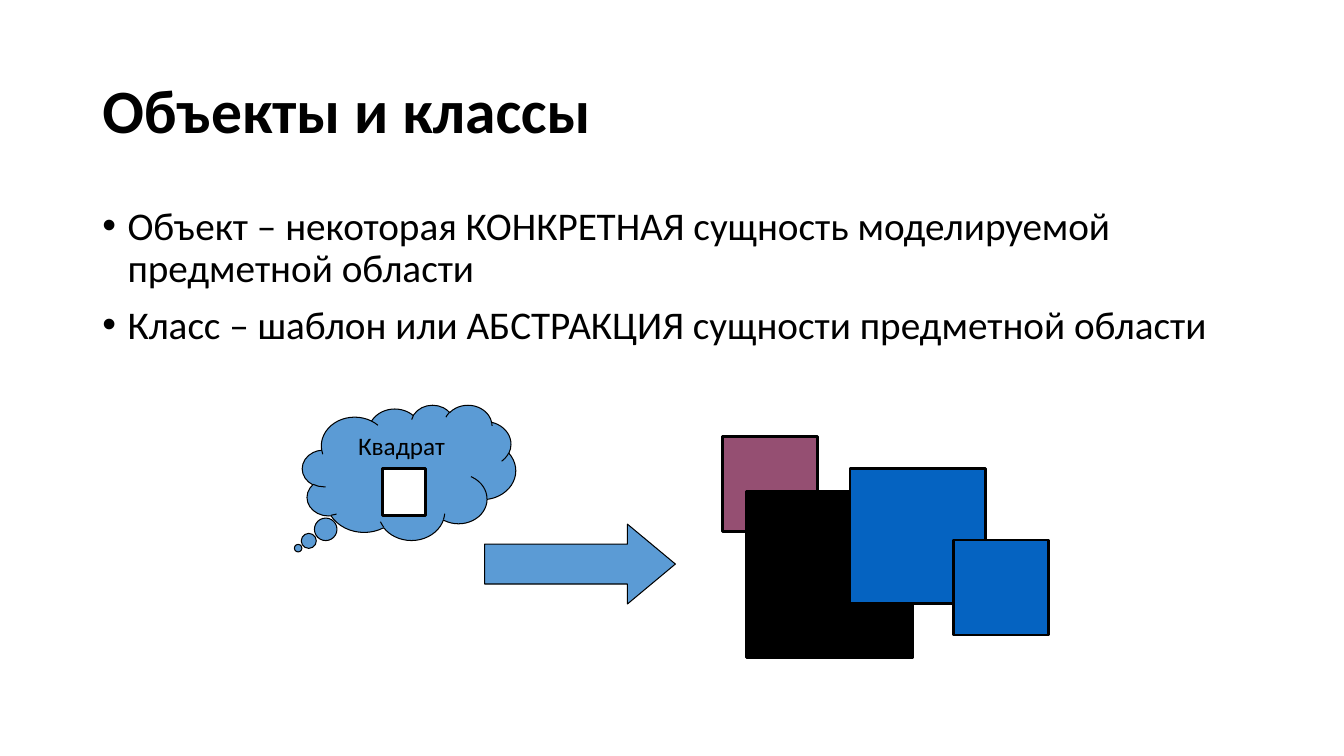
"""Build a slide on objects and classes: an abstract square and its concrete instances."""
import pptx
import pptx.dml.color
import pptx.enum.shapes
import pptx.enum.text
import pptx.util
import lxml.etree

COLORS = {"ink": "000000", "paper": "FFFFFF", "idea": "5B9BD5",
          "plum": "954F72", "blue": "0563C1"}
COLUMNS, ROWS = 160, 90
FONT = "Calibri"
PRESET = pptx.enum.shapes.MSO_SHAPE
ANCHOR = pptx.enum.text.MSO_ANCHOR

deck = pptx.Presentation()
deck.slide_width = pptx.util.Inches(13.333)
deck.slide_height = pptx.util.Inches(7.5)
column = deck.slide_width / COLUMNS
row = deck.slide_height / ROWS
slide = deck.slides.add_slide(deck.slide_layouts[6])


def place(left, top, width, height):
    return (round(left * column), round(top * row),
            round(width * column), round(height * row))


def set_font(paragraph, size, bold=False):
    for run in paragraph.runs:
        run.font.name = FONT
        run.font.size = pptx.util.Pt(size)
        run.font.bold = bold
        run.font.color.rgb = pptx.dml.color.RGBColor.from_string(COLORS["ink"])


heading = slide.shapes.add_textbox(*place(11, 4.8, 138, 17.4)).text_frame
heading.word_wrap = True
heading.vertical_anchor = ANCHOR.MIDDLE
heading.text = "Объекты и классы"
heading.paragraphs[0].line_spacing = 0.9
set_font(heading.paragraphs[0], 44, bold=True)

definitions = slide.shapes.add_textbox(*place(11, 24, 138, 57.1)).text_frame
definitions.word_wrap = True
definitions.text = (
    "Объект – некоторая КОНКРЕТНАЯ сущность моделируемой предметной области\n"
    "Класс – шаблон или АБСТРАКЦИЯ сущности предметной области")
indent = pptx.util.Inches(0.25)
for number, definition in enumerate(definitions.paragraphs):
    properties = definition._p.get_or_add_pPr()
    properties.set("marL", str(indent))
    properties.set("indent", str(-indent))
    bullet_font = lxml.etree.SubElement(properties, pptx.oxml.ns.qn("a:buFont"))
    bullet_font.set("typeface", "Arial")
    bullet = lxml.etree.SubElement(properties, pptx.oxml.ns.qn("a:buChar"))
    bullet.set("char", "•")
    definition.line_spacing = 0.9
    if number:
        definition.space_before = pptx.util.Pt(10)
    set_font(definition, 28)

figures = [
    (PRESET.RIGHT_ARROW, (57.7, 62.4, 22.7, 9.5), "idea", 0.75, (0.5, 0.6), ""),
    (PRESET.RECTANGLE, (86, 52, 11.3, 11.3), "plum", 2, (), ""),
    (PRESET.RECTANGLE, (88.9, 58.5, 19.8, 19.8), "ink", 2, (), ""),
    (PRESET.RECTANGLE, (101.2, 55.8, 16.1, 16.1), "blue", 2, (), ""),
    (PRESET.RECTANGLE, (113.5, 64.3, 11.3, 11.3), "blue", 2, (), ""),
    (PRESET.CLOUD_CALLOUT, (36, 48.2, 25.4, 16.1), "idea", 0.75, (-0.52, 0.56), "Квадрат"),
    (PRESET.RECTANGLE, (45.5, 55.8, 5.2, 5.6), "paper", 2, (), ""),
]
for preset, area, color, outline, adjustments, label in figures:
    figure = slide.shapes.add_shape(preset, *place(*area))
    figure.shadow.inherit = False
    figure.fill.solid()
    figure.fill.fore_color.rgb = pptx.dml.color.RGBColor.from_string(COLORS[color])
    figure.line.color.rgb = pptx.dml.color.RGBColor.from_string(COLORS["ink"])
    figure.line.width = pptx.util.Pt(outline)
    for position, adjustment in enumerate(adjustments):
        figure.adjustments[position] = adjustment
    if label:
        figure.text_frame.text = label
        figure.text_frame.word_wrap = True
        figure.text_frame.vertical_anchor = ANCHOR.TOP
        figure.text_frame.paragraphs[0].alignment = pptx.enum.text.PP_ALIGN.CENTER
        set_font(figure.text_frame.paragraphs[0], 18)

deck.save("out.pptx")
